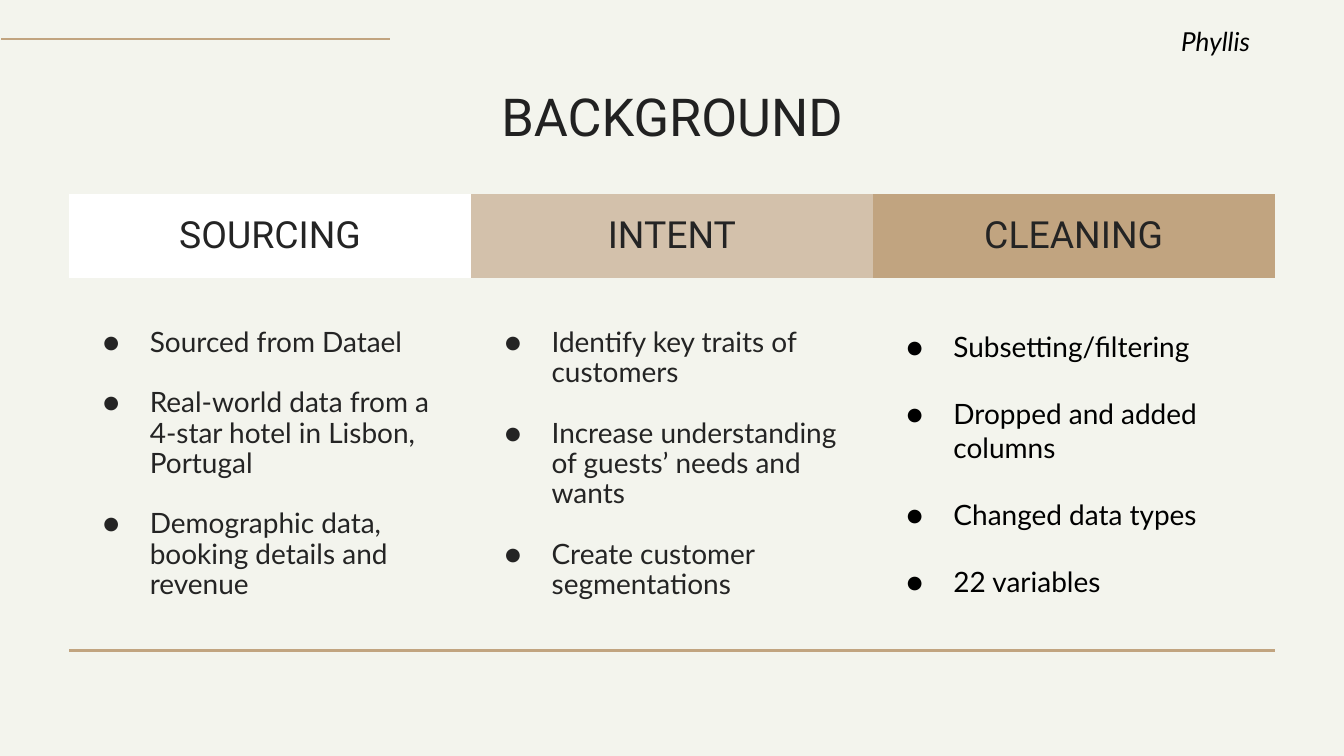
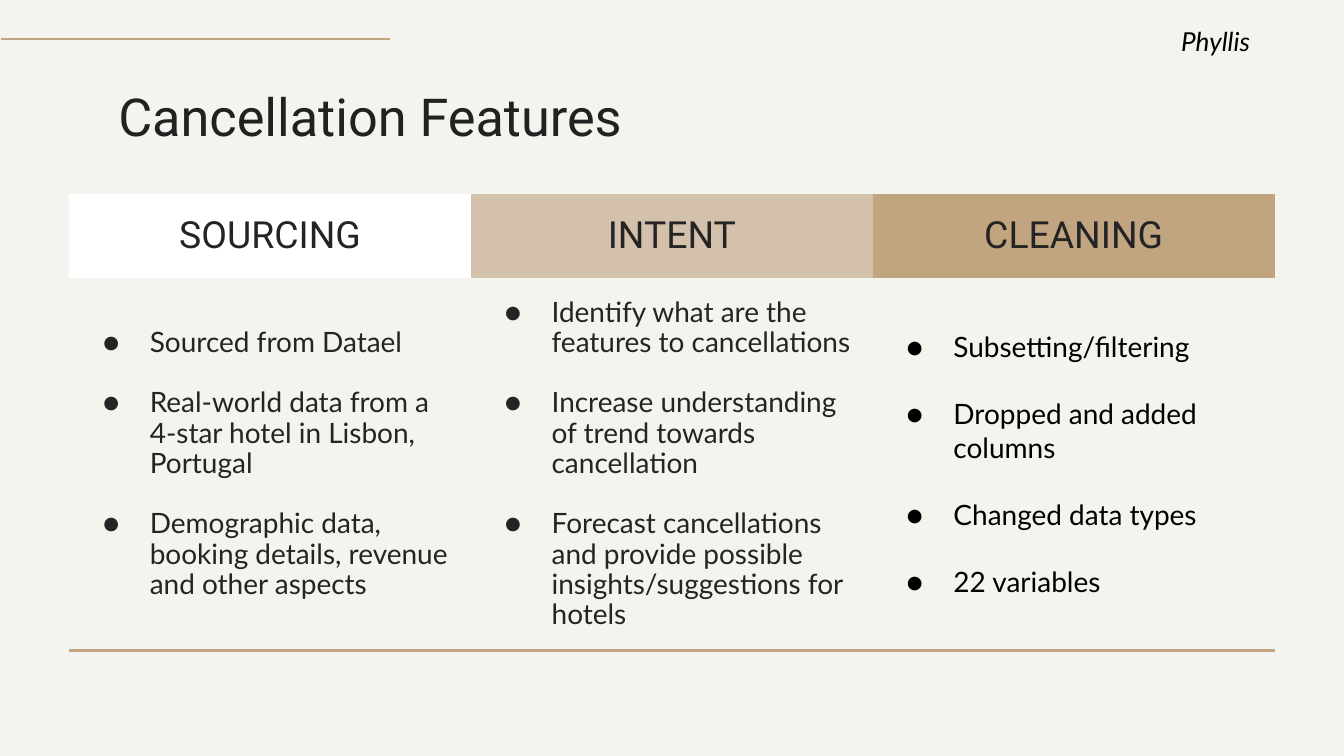
from dataclasses import dataclass

from lxml.etree import SubElement
from pptx import Presentation
from pptx.dml.color import RGBColor
from pptx.enum.shapes import MSO_CONNECTOR
from pptx.enum.text import MSO_ANCHOR, MSO_AUTO_SIZE, PP_ALIGN
from pptx.oxml.ns import qn
from pptx.util import Inches, Pt

PRESENTER = "Phyllis"
HEADINGS = ["SOURCING", "INTENT", "CLEANING"]
SHARED_SOURCING = [
    "Sourced from Datael",
    "Real-world data from a 4-star hotel in Lisbon, Portugal",
]
CLEANING = [
    "Subsetting/filtering",
    "Dropped and added columns",
    "Changed data types",
    "22 variables",
]
SLIDES = [
    {
        "title": "BACKGROUND",
        "align": PP_ALIGN.CENTER,
        "columns": [
            SHARED_SOURCING + ["Demographic data, booking details and revenue"],
            [
                "Identify key traits of customers",
                "Increase understanding of guests’ needs and wants",
                "Create customer segmentations",
            ],
            CLEANING,
        ],
    },
    {
        "title": "Cancellation Features",
        "align": PP_ALIGN.LEFT,
        "columns": [
            SHARED_SOURCING + ["Demographic data, booking details, revenue and other aspects"],
            [
                "Identify what are the features to cancellations",
                "Increase understanding of trend towards cancellation",
                "Forecast cancellations and provide possible insights/suggestions for hotels",
            ],
            CLEANING,
        ],
    },
]


@dataclass(frozen=True)
class Theme:
    background: str = "F3F4ED"
    accent: str = "C1A480"
    title: str = "212121"
    text: str = "242424"
    black: str = "000000"
    heading_fills: tuple = ("FFFFFF", "D3C1AB", "C1A480")
    heading_font: str = "Roboto"
    body_font: str = "Lato"
    title_size: int = 28
    heading_size: int = 20
    body_size: int = 15
    presenter_size: int = 14
    rule_width: float = 1.5


THEME = Theme()
BODY_STYLES = [(THEME.text, 0.9), (THEME.text, 0.9), (THEME.black, 1.0)]
FULL_LINE = 18
SLIDE_WIDTH = Inches(10)
SLIDE_HEIGHT = SLIDE_WIDTH * 9 // 16
COLUMN_WIDTH = 2.99
ROW_HEIGHTS = [0.63, 2.77]
INSET = Inches(0.1)


def style(paragraph, font_name, size, color, italic=False):
    for run in paragraph.runs:
        run.font.name = font_name
        run.font.size = Pt(size)
        run.font.color.rgb = RGBColor.from_string(color)
        run.font.bold = False
        run.font.italic = italic


def set_insets(holder):
    holder.margin_left = holder.margin_right = INSET
    holder.margin_top = holder.margin_bottom = INSET


def add_bullet(paragraph, color):
    properties = paragraph._p.get_or_add_pPr()
    properties.set("marL", str(Inches(0.5)))
    properties.set("indent", str(Inches(-0.35)))
    bullet_color = SubElement(properties, qn("a:buClr"))
    SubElement(bullet_color, qn("a:srgbClr"), val=color)
    SubElement(properties, qn("a:buFont"), typeface=THEME.body_font)
    SubElement(properties, qn("a:buChar"), char="●")


def set_borders(cell, bottom_rule):
    properties = cell._tc.get_or_add_tcPr()
    for side in ("lnL", "lnR", "lnT", "lnB"):
        border = SubElement(properties, qn(f"a:{side}"))
        if side == "lnB" and bottom_rule:
            border.set("w", str(Pt(THEME.rule_width)))
            fill = SubElement(border, qn("a:solidFill"))
            SubElement(fill, qn("a:srgbClr"), val=THEME.accent)
        else:
            SubElement(border, qn("a:noFill"))


def prepare_cell(cell, bottom_rule=False):
    set_insets(cell)
    cell.vertical_anchor = MSO_ANCHOR.MIDDLE
    set_borders(cell, bottom_rule)


def fill_heading(cell, heading, color):
    prepare_cell(cell)
    cell.fill.solid()
    cell.fill.fore_color.rgb = RGBColor.from_string(color)
    cell.text_frame.text = heading
    paragraph = cell.text_frame.paragraphs[0]
    paragraph.alignment = PP_ALIGN.CENTER
    style(paragraph, THEME.heading_font, THEME.heading_size, THEME.text)


def fill_body(cell, points, color, spacing):
    prepare_cell(cell, bottom_rule=True)
    cell.fill.background()
    cell.text_frame.text = "\n".join(points)
    for index, paragraph in enumerate(cell.text_frame.paragraphs):
        add_bullet(paragraph, color)
        paragraph.line_spacing = spacing
        if index:
            paragraph.space_before = Pt(FULL_LINE * spacing)
        style(paragraph, THEME.body_font, THEME.body_size, color)


def add_top_rule(slide):
    rule = slide.shapes.add_connector(
        MSO_CONNECTOR.STRAIGHT, Inches(0.01), Inches(0.29), Inches(2.9), Inches(0.29)
    )
    rule.line.color.rgb = RGBColor.from_string(THEME.accent)
    rule.line.width = Pt(THEME.rule_width)
    SubElement(rule._element.spPr, qn("a:effectLst"))


def set_title(slide, text, align):
    title = slide.shapes.title
    title.left, title.top = Inches(0.78), Inches(0.6)
    title.width, title.height = Inches(8.44), Inches(0.52)
    frame = title.text_frame
    frame.text = text
    frame.auto_size = MSO_AUTO_SIZE.NONE
    frame.vertical_anchor = MSO_ANCHOR.MIDDLE
    set_insets(frame)
    frame.paragraphs[0].alignment = align
    style(frame.paragraphs[0], THEME.heading_font, THEME.title_size, THEME.title)


def add_columns(slide, columns):
    table_width = Inches(COLUMN_WIDTH * len(HEADINGS))
    table = slide.shapes.add_table(
        len(ROW_HEIGHTS), len(HEADINGS), (SLIDE_WIDTH - table_width) // 2, Inches(1.44),
        table_width, Inches(sum(ROW_HEIGHTS)),
    ).table
    table.first_row = table.horz_banding = False
    for row, height in zip(table.rows, ROW_HEIGHTS):
        row.height = Inches(height)
    for index, (heading, points) in enumerate(zip(HEADINGS, columns)):
        table.columns[index].width = Inches(COLUMN_WIDTH)
        fill_heading(table.cell(0, index), heading, THEME.heading_fills[index])
        fill_body(table.cell(1, index), points, *BODY_STYLES[index])


def add_presenter(slide):
    presenter = slide.shapes.add_textbox(Inches(8.09), Inches(0.09), Inches(1.91), Inches(0.44))
    frame = presenter.text_frame
    frame.word_wrap = True
    frame.auto_size = MSO_AUTO_SIZE.SHAPE_TO_FIT_TEXT
    set_insets(frame)
    frame.text = PRESENTER
    frame.paragraphs[0].alignment = PP_ALIGN.CENTER
    style(frame.paragraphs[0], THEME.body_font, THEME.presenter_size, THEME.black, italic=True)


def main():
    deck = Presentation()
    deck.slide_width, deck.slide_height = SLIDE_WIDTH, SLIDE_HEIGHT
    background = deck.slide_master.background.fill
    background.solid()
    background.fore_color.rgb = RGBColor.from_string(THEME.background)
    for content in SLIDES:
        slide = deck.slides.add_slide(deck.slide_layouts[5])
        add_top_rule(slide)
        set_title(slide, content["title"], content["align"])
        add_columns(slide, content["columns"])
        add_presenter(slide)
    deck.save("out.pptx")


if __name__ == "__main__":
    main()
